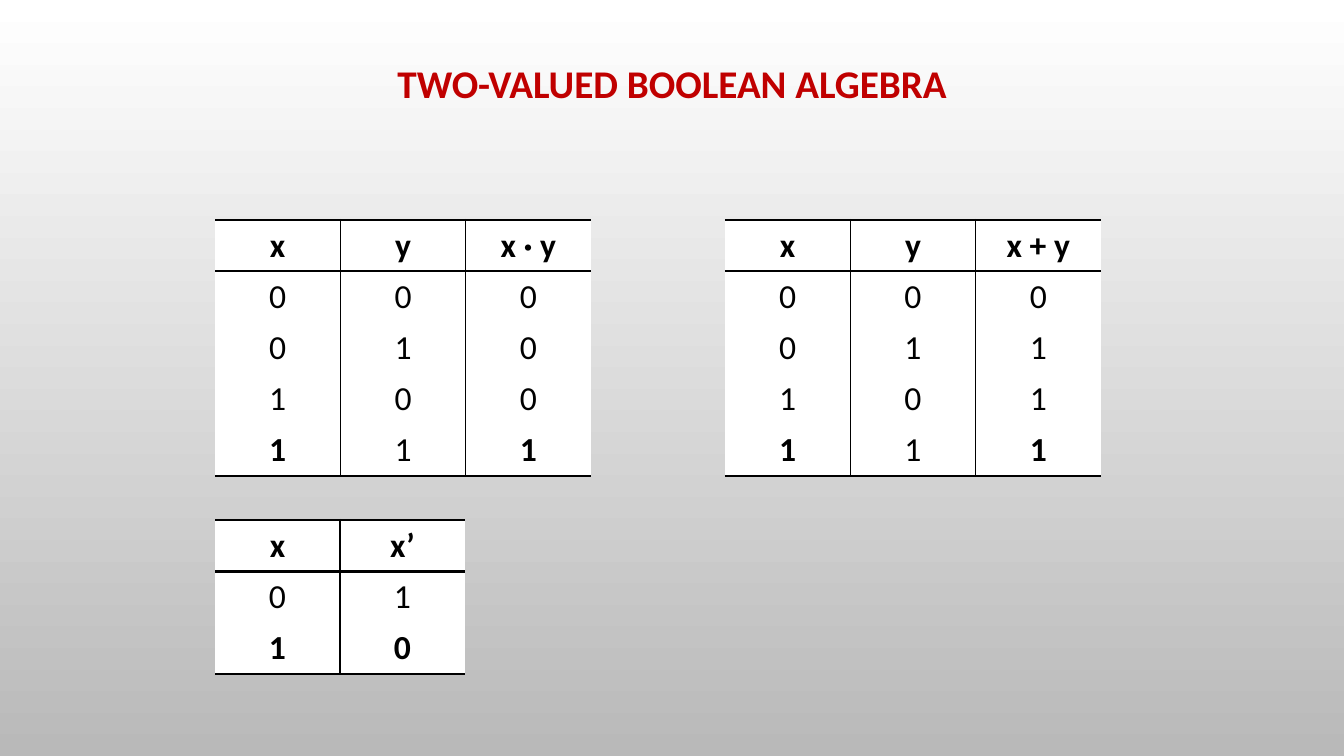
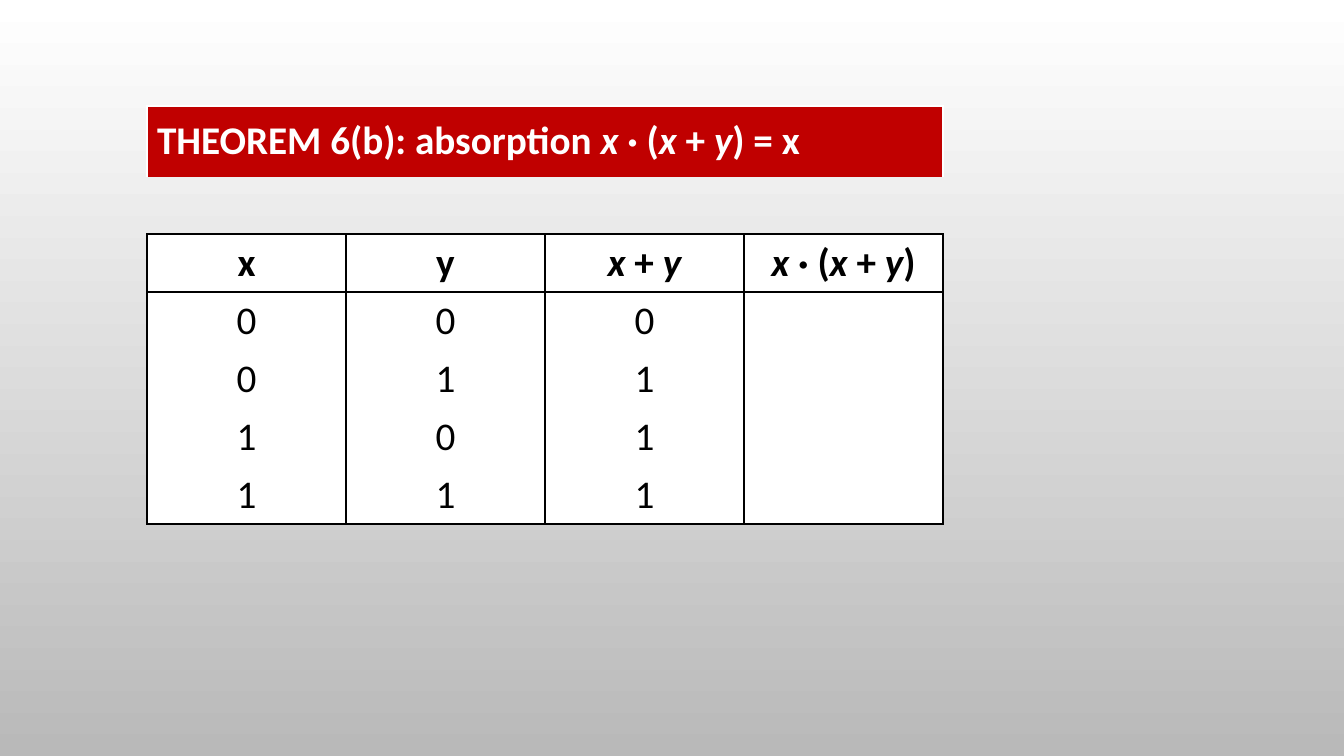
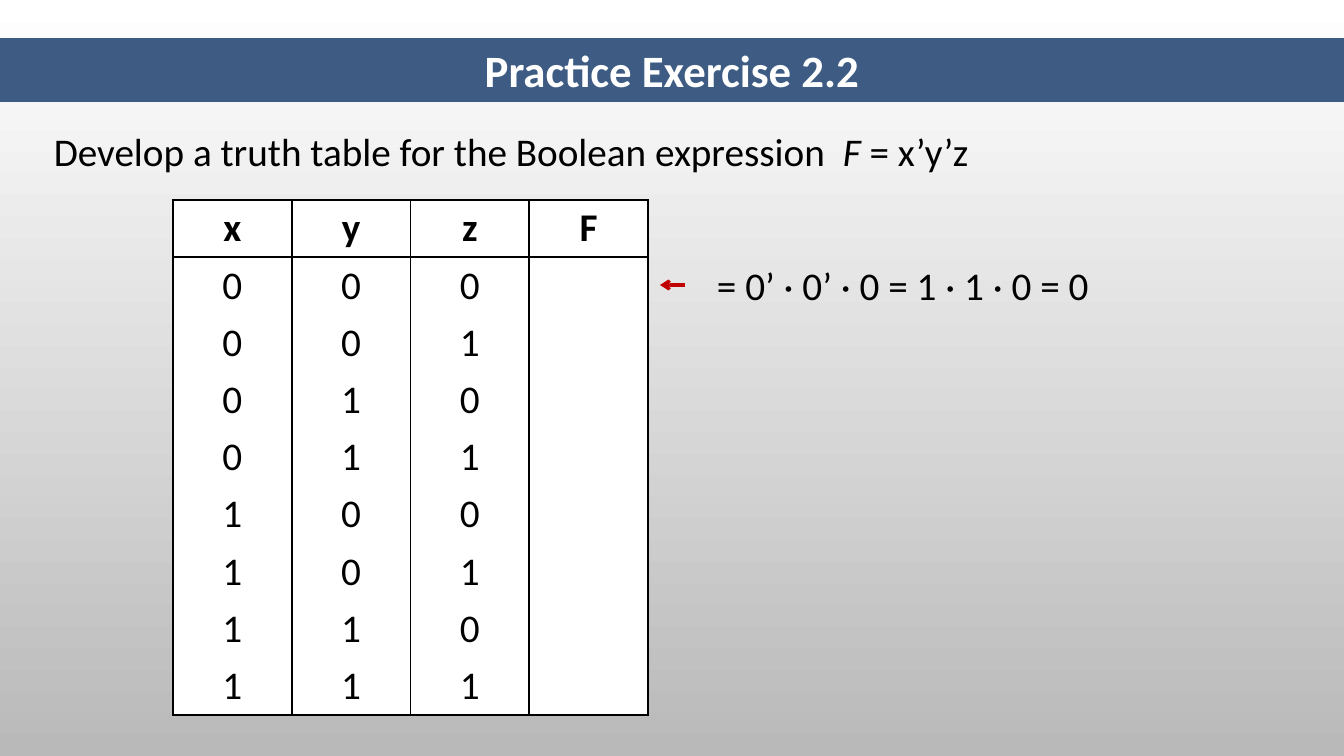
"""Build three slides on truth tables in Boolean algebra."""
from itertools import product

from lxml import etree
from pptx import Presentation
from pptx.dml.color import RGBColor
from pptx.enum.shapes import MSO_CONNECTOR
from pptx.enum.text import MSO_ANCHOR, MSO_AUTO_SIZE, PP_ALIGN
from pptx.oxml.ns import qn
from pptx.util import Emu, Pt

LEFT, CENTER = PP_ALIGN.LEFT, PP_ALIGN.CENTER
MIDDLE = MSO_ANCHOR.MIDDLE
NO_AUTOFIT = MSO_AUTO_SIZE.NONE
STRAIGHT = MSO_CONNECTOR.STRAIGHT

WHITE = RGBColor(0xFF, 0xFF, 0xFF)
BLACK = RGBColor(0, 0, 0)
GREY = RGBColor(0xB9, 0xB9, 0xB9)
RED = RGBColor(0xC0, 0, 0)
BLUE = RGBColor(0x3E, 0x5C, 0x83)

FONT = "Calibri"
SCALE = 12192000 / 1344
SLIDE_W, SLIDE_H = 1344, 756
CELL_MARGIN = 4
TITLE_ONLY, BLANK = 5, 6

OPEN = {"size": 24, "rule": 2, "divider": 1, "edge": 0}
BOXED = {"size": 28, "rule": 1.5, "divider": 1.5, "edge": 1.5}

PAIRS = list(product("01", repeat=2))
TRIPLES = list(product("01", repeat=3))
AND_ROWS = [(x, y, min(x, y)) for x, y in PAIRS]
OR_ROWS = [(x, y, max(x, y)) for x, y in PAIRS]
NOT_ROWS = [("0", "1"), ("1", "0")]

SLIDES = [
    {
        "title": {"text": "TWO-VALUED BOOLEAN ALGEBRA", "box": (0, 52, SLIDE_W, 67),
                  "size": 28, "color": RED, "spacing": 0.9},
        "tables": [
            {"box": (215, 220, 376, 256), "head": ("x", "y", "x · y"), "rows": AND_ROWS,
             "bold_last": (0, 2), "style": OPEN},
            {"box": (725, 220, 376, 256), "head": ("x", "y", "x + y"), "rows": OR_ROWS,
             "bold_last": (0, 2), "style": OPEN},
            {"box": (215, 520, 250, 154), "head": ("x", "x’"), "rows": NOT_ROWS,
             "bold_last": (0, 1), "style": OPEN},
        ],
    },
    {
        "theorem": ("THEOREM 6(b): absorption *x *· (*x *+ *y*) = x", (147, 106, 796, 71)),
        "tables": [
            {"box": (147, 234, 796, 290), "head": ("x", "y", "*x *+ *y*", "*x *· (*x *+ *y*)"),
             "rows": [row + ("",) for row in OR_ROWS], "style": BOXED},
        ],
    },
    {
        "title": {"text": "Practice Exercise 2.2", "box": (0, 38, SLIDE_W, 64),
                  "size": 32, "color": WHITE, "band": BLUE},
        "tables": [
            {"box": (173, 200, 475, 515), "head": ("x", "y", "z", "F"),
             "rows": [row + ("",) for row in TRIPLES], "style": BOXED},
        ],
        "texts": [
            ("Develop a truth table for the Boolean expression  *F* = x’y’z",
             (44, 122, 1207, 57)),
            ("= 0’ · 0’ · 0 = 1 · 1 · 0 = 0", (707, 256, 458, 57)),
        ],
        "arrow": (685, 285, 660, 285),
    },
]


def px(*lengths):
    return [Emu(round(length * SCALE)) for length in lengths]


def write(paragraph, text, size, color=BLACK, bold=False, align=LEFT):
    """Write text in which asterisks enclose italic parts."""
    paragraph.alignment = align
    for index, part in enumerate(text.split("*")):
        if part:
            run = paragraph.add_run()
            run.text = part
            font = run.font
            font.name, font.size, font.bold = FONT, Pt(size), bold
            font.italic = index % 2 == 1
            font.color.rgb = color


def add_title(slide, text, box, size, color, band=None, spacing=None):
    title = slide.shapes.title
    title.left, title.top, title.width, title.height = px(*box)
    if band:
        title.fill.solid()
        title.fill.fore_color.rgb = band
    frame = title.text_frame
    frame.auto_size = NO_AUTOFIT
    frame.vertical_anchor = MIDDLE
    paragraph = frame.paragraphs[0]
    paragraph.line_spacing = spacing
    write(paragraph, text, size, color, True, CENTER)


def set_borders(cell, widths, color):
    """Draw left, right, top and bottom borders, hiding those of no width."""
    properties = cell._tc.get_or_add_tcPr()
    for index, (side, width) in enumerate(zip("LRTB", widths)):
        line = etree.Element(qn(f"a:ln{side}"), w=str(Pt(width)))
        if width:
            fill = etree.SubElement(line, qn("a:solidFill"))
            etree.SubElement(fill, qn("a:srgbClr"), val=str(color))
        else:
            etree.SubElement(line, qn("a:noFill"))
        properties.insert(index, line)


def add_plain_table(slide, row_count, column_count, box):
    table = slide.shapes.add_table(row_count, column_count, *px(*box)).table
    table.first_row = table.horz_banding = False
    for column in table.columns:
        column.width = px(box[2] / column_count)[0]
    for row in table.rows:
        row.height = px(box[3] / row_count)[0]
    return table


def fill_cell(cell, text, size, borders, bold, align=CENTER, back=WHITE, ink=BLACK):
    cell.fill.solid()
    cell.fill.fore_color.rgb = back
    cell.vertical_anchor = MIDDLE
    cell.margin_top, cell.margin_bottom = px(CELL_MARGIN, CELL_MARGIN)
    write(cell.text_frame.paragraphs[0], text, size, ink, bold, align)
    set_borders(cell, borders, ink)


def add_theorem(slide, text, box):
    table = add_plain_table(slide, 1, 1, box)
    fill_cell(table.cell(0, 0), text, 28, (1, 1, 1, 0), True, LEFT, RED, WHITE)


def add_truth_table(slide, box, head, rows, style, bold_last=()):
    lines = [head, *rows]
    height, width = len(lines), len(head)
    table = add_plain_table(slide, height, width, box)
    verticals = [style["edge"], *[style["divider"]] * (width - 1), style["edge"]]
    horizontals = [style["rule"] if r in (0, 1, height) else 0 for r in range(height + 1)]
    for r, values in enumerate(lines):
        for c, value in enumerate(values):
            bold = r == 0 or (r == height - 1 and c in bold_last)
            borders = verticals[c:c + 2] + horizontals[r:r + 2]
            fill_cell(table.cell(r, c), value, style["size"], borders, bold)


def add_text(slide, text, box):
    frame = slide.shapes.add_textbox(*px(*box)).text_frame
    frame.word_wrap = True
    write(frame.paragraphs[0], text, 28)


def add_arrow(slide, ends):
    arrow = slide.shapes.add_connector(STRAIGHT, *px(*ends))
    arrow.line.color.rgb = RED
    arrow.line.width = Pt(2.25)
    etree.SubElement(arrow.line._get_or_add_ln(), qn("a:tailEnd"), type="arrow")
    etree.SubElement(arrow._element.spPr, qn("a:effectLst"))


def set_background(master):
    fill = master.background.fill
    fill.gradient()
    fill.gradient_angle = 270
    for stop, color, position in zip(fill.gradient_stops, (WHITE, GREY), (0, 1)):
        stop.color.rgb = color
        stop.position = position


def main():
    deck = Presentation()
    deck.slide_width, deck.slide_height = px(SLIDE_W, SLIDE_H)
    set_background(deck.slide_master)
    for content in SLIDES:
        layout = TITLE_ONLY if "title" in content else BLANK
        slide = deck.slides.add_slide(deck.slide_layouts[layout])
        if "title" in content:
            add_title(slide, **content["title"])
        if "theorem" in content:
            add_theorem(slide, *content["theorem"])
        for table in content["tables"]:
            add_truth_table(slide, **table)
        for text, box in content.get("texts", ()):
            add_text(slide, text, box)
        if "arrow" in content:
            add_arrow(slide, content["arrow"])
    deck.save("out.pptx")


if __name__ == "__main__":
    main()
